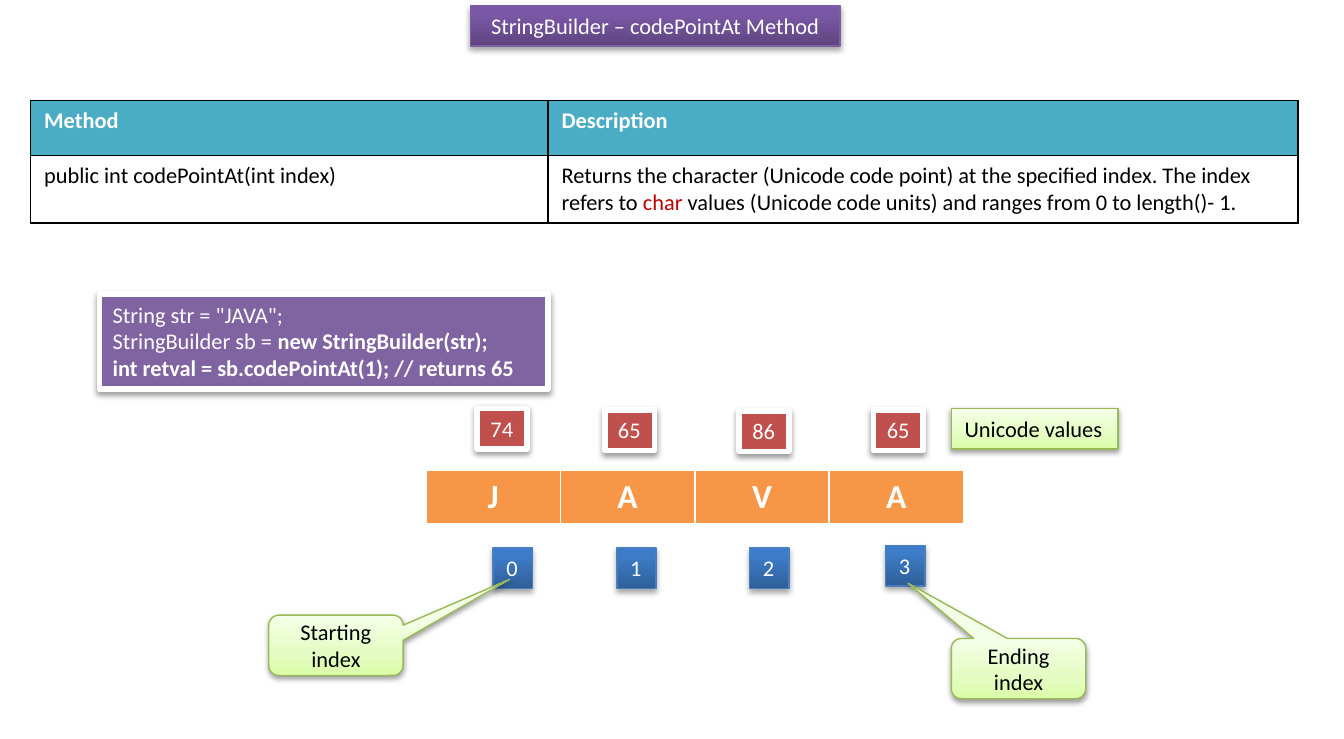
from lxml.etree import SubElement
from pptx import Presentation
from pptx.dml.color import RGBColor
from pptx.enum.shapes import MSO_SHAPE
from pptx.enum.text import MSO_ANCHOR, MSO_AUTO_SIZE, PP_ALIGN
from pptx.oxml.ns import qn
from pptx.util import Cm, Pt

WHITE, BLACK = "FFFFFF", "000000"

TITLE = "StringBuilder – codePointAt Method"
HEAD = ["Method", "Description"]
BODY = [
    "public int codePointAt(int index)",
    [("Returns the character (Unicode code point) at the specified index. "
      "The index refers to ", {}),
     ("char", {"color": "C00000"}),
     (" values (Unicode code units) and ranges from 0 to length()- 1.", {})],
]
CODE = [
    'String str = "JAVA";',
    [("StringBuilder sb = ", {}), ("new StringBuilder(str);", {"bold": True})],
    [("int retval = sb.codePointAt(1); // returns 65", {"bold": True})],
]
LETTERS = "JAVA"
# (text, left, top) in cm
VALUES = [("74", 9.02, 7.72), ("65", 11.43, 7.75),
          ("86", 13.97, 7.77), ("65", 16.51, 7.75)]
INDEXES = [("0", 9.32, 10.36), ("1", 11.66, 10.36),
           ("2", 14.17, 10.36), ("3", 16.74, 10.31)]
# (text, left, top, pointer)
CALLOUTS = [("Starting index", 5.08, 11.63, (1.292, -1.094)),
            ("Ending index", 17.98, 12.07, (-0.823, -1.417))]

# Gradient stops run from bottom to top
DEEP = {"alpha": 35, "drop": 1.8}
SOFT = {"alpha": 38, "drop": 1.6}
PURPLE = dict(fill=[(0, "5F4480"), (80, "7B58A6"), (100, "7C57A8")],
              line="7D60A0", shade=DEEP)
BLUE = dict(fill=[(0, "2F5F99"), (80, "3D7CC7"), (100, "3A7CCB")],
            line="4B7EBC", shade=DEEP)
GREEN = dict(fill=[(0, "DAFDA7"), (35, "E4FCC2"), (100, "F5FFE7")],
             line="98B955", shade=SOFT, color=BLACK)
RED = dict(fill="C0504D", line=WHITE, width=3, shade=SOFT)
PLUM = dict(RED, fill="8064A2")


def rgb(code):
    return RGBColor.from_string(code)


def write(frame, paras, size=12, color=WHITE, bold=False, center=False):
    """Fill a text frame; a paragraph is a string or a list of (text, format)."""
    for i, runs in enumerate(paras):
        para = frame.paragraphs[0] if i == 0 else frame.add_paragraph()
        para.alignment = PP_ALIGN.CENTER if center else PP_ALIGN.LEFT
        for text, form in [(runs, {})] if isinstance(runs, str) else runs:
            run = para.add_run()
            run.text = text
            font = run.font
            font.name, font.size = "Calibri", Pt(size)
            font.bold = form.get("bold", bold)
            font.color.rgb = rgb(form.get("color", color))


def blend(shape, stops):
    shape.fill.gradient()
    shape.fill.gradient_angle = 90
    track = shape._element.spPr.find(".//" + qn("a:gsLst"))
    for old in list(track):
        track.remove(old)
    for spot, code in stops:
        stop = SubElement(track, qn("a:gs"), pos=str(spot * 1000))
        SubElement(stop, qn("a:srgbClr"), val=code)


def cast(shape, alpha, drop):
    """Give the shape a shadow straight below it."""
    shape.shadow.inherit = False
    glow = shape._element.spPr.find(qn("a:effectLst"))
    outer = SubElement(glow, qn("a:outerShdw"), blurRad=str(Pt(3.1)),
                       dist=str(Pt(drop)), dir="5400000", rotWithShape="0")
    tint = SubElement(outer, qn("a:srgbClr"), val=BLACK)
    SubElement(tint, qn("a:alpha"), val=str(alpha * 1000))


def box(slide, place, paras, fill, line, shade, width=0.75, color=WHITE,
        center=False, wrap=True, tip=None):
    """Add a rectangle, or a rounded callout when tip is given."""
    kind = MSO_SHAPE.ROUNDED_RECTANGULAR_CALLOUT if tip else MSO_SHAPE.RECTANGLE
    shape = slide.shapes.add_shape(kind, *map(Cm, place))
    if isinstance(fill, str):
        shape.fill.solid()
        shape.fill.fore_color.rgb = rgb(fill)
    else:
        blend(shape, fill)
    shape.line.color.rgb = rgb(line)
    shape.line.width = Pt(width)
    cast(shape, **shade)
    frame = shape.text_frame
    frame.word_wrap = wrap
    if tip:
        shape.adjustments[0], shape.adjustments[1] = tip
        frame.vertical_anchor = MSO_ANCHOR.MIDDLE
    else:
        frame.vertical_anchor = MSO_ANCHOR.TOP
        frame.auto_size = MSO_AUTO_SIZE.SHAPE_TO_FIT_TEXT
    write(frame, paras, color=color, center=center)


def edge(cell, code, widths):
    """Draw left, right, top and bottom borders."""
    props = cell._tc.get_or_add_tcPr()
    for side, width in zip("LRTB", widths):
        line = SubElement(props, qn("a:ln" + side), w=str(Pt(width)))
        fill = SubElement(line, qn("a:solidFill"))
        SubElement(fill, qn("a:srgbClr"), val=code)


def grid(slide, left, top, cols, rows, cells, border, widths):
    """Add a table; each row of cells comes with its fill and text format."""
    table = slide.shapes.add_table(
        len(rows), len(cols), Cm(left), Cm(top),
        Cm(sum(cols)), Cm(sum(rows))).table
    table.first_row = table.horz_banding = False
    for col, width in zip(table.columns, cols):
        col.width = Cm(width)
    for row, height, (texts, fill, form) in zip(table.rows, rows, cells):
        row.height = Cm(height)
        for cell, text in zip(row.cells, texts):
            edge(cell, border, widths)
            if fill:
                cell.fill.solid()
                cell.fill.fore_color.rgb = rgb(fill)
            else:
                cell.fill.background()
            write(cell.text_frame, [text], **form)


def main():
    deck = Presentation()
    deck.slide_width, deck.slide_height = Cm(25.4), Cm(13.97)
    slide = deck.slides.add_slide(deck.slide_layouts[6])

    box(slide, (8.89, 0.1, 6.99, 0.77), [TITLE], center=True, **PURPLE)
    grid(slide, 0.58, 1.9, [9.78, 14.17], [1.04, 1.27],
         [(HEAD, "4BACC6", {"bold": True}), (BODY, None, {"color": BLACK})],
         BLACK, (1, 1, 1, 1))
    grid(slide, 8.05, 8.89, [2.54] * len(LETTERS), [1.04],
         [(LETTERS, "F79646", {"size": 18, "bold": True, "center": True})],
         WHITE, (1, 1, 1, 3))

    for items, width, look in [(VALUES, 0.94, RED), (INDEXES, 0.74, BLUE)]:
        for text, left, top in items:
            box(slide, (left, top, width, 0.77), [text], wrap=False, **look)
    for text, left, top, tip in CALLOUTS:
        box(slide, (left, top, 2.54, 1.14), [text], center=True, tip=tip, **GREEN)
    box(slide, (17.98, 7.72, 3.15, 0.77), ["Unicode values"], wrap=False, **GREEN)
    box(slide, (1.88, 5.56, 8.48, 1.8), CODE, **PLUM)
    deck.save("out.pptx")


if __name__ == "__main__":
    main()
